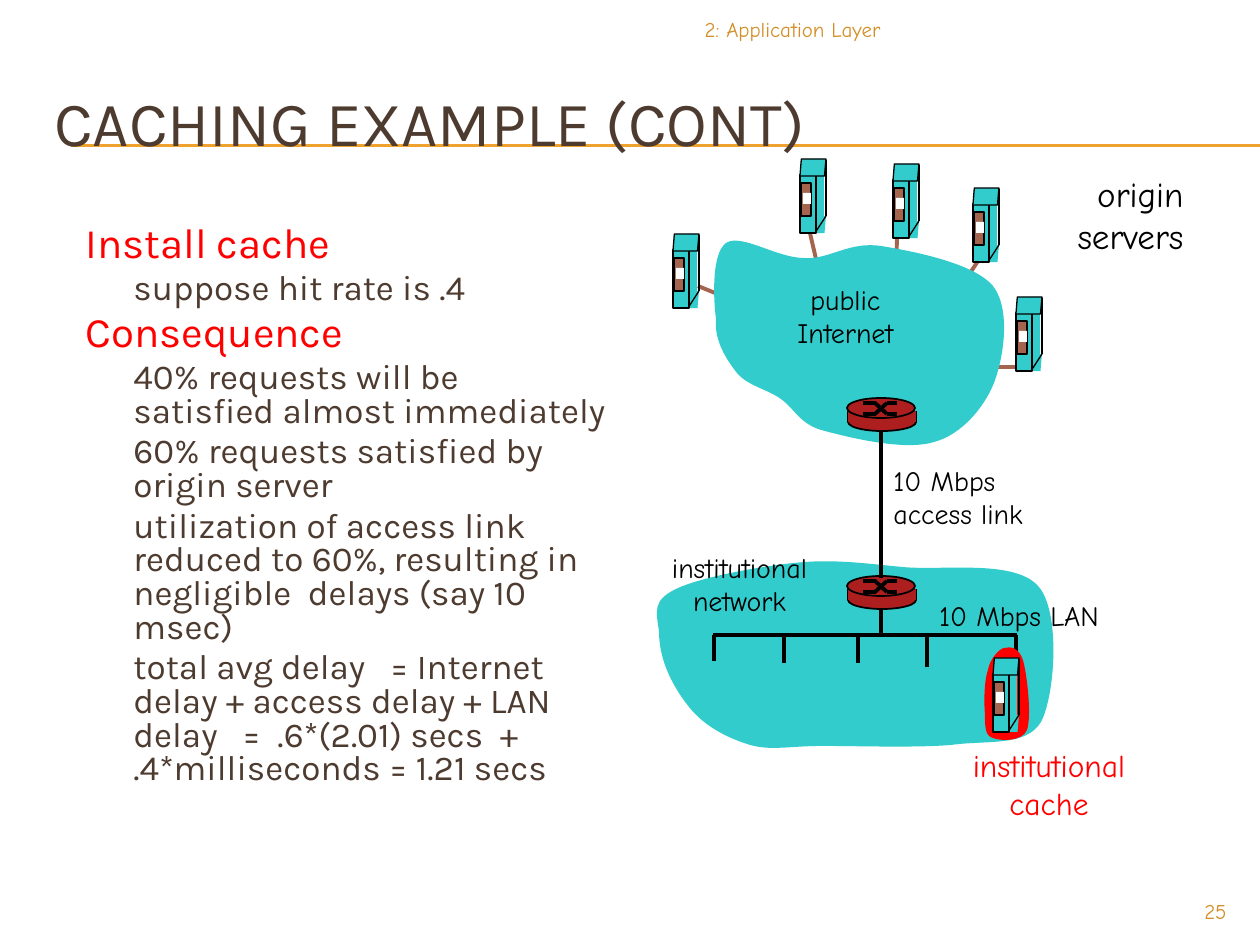
from dataclasses import dataclass
from typing import Any

from lxml.etree import SubElement
from pptx import Presentation
from pptx.dml.color import RGBColor
from pptx.enum.shapes import MSO_CONNECTOR, MSO_SHAPE
from pptx.enum.text import MSO_ANCHOR, PP_ALIGN
from pptx.oxml.ns import qn
from pptx.util import Emu, Pt

PX = 914400 / 126
TEAL, BROWN, RED, ROUTER_RED = "33CCCC", "A5644E", "FF0000", "AD1F1F"
BLACK, WHITE, INK, GOLD, AMBER = "000000", "FFFFFF", "4E3B30", "F0A22E", "D38E27"
HEAD_FONT, LABEL_FONT = "Karla", "Comic Neue"
LEFT, CENTER, RIGHT = PP_ALIGN.LEFT, PP_ALIGN.CENTER, PP_ALIGN.RIGHT

# Curve outlines: a start point, then three points for each Bezier segment
INTERNET_CLOUD = [
    (4, 86), (1, 63), (0, 20), (14, 10), (29, 0), (65, 25), (92, 25),
    (117, 27), (137, 8), (169, 13), (200, 18), (262, 30), (281, 53),
    (299, 76), (292, 124), (282, 150), (272, 175), (249, 202), (222, 209),
    (193, 218), (139, 205), (113, 198), (88, 192), (84, 177), (69, 166),
    (55, 156), (36, 153), (25, 140), (14, 126), (2, 107), (4, 86)]
CAMPUS_CLOUD = [
    (6, 72), (3, 52), (0, 42), (21, 31), (44, 19), (103, 8), (141, 4),
    (179, 0), (208, 4), (249, 8), (289, 12), (361, 0), (385, 27),
    (408, 52), (402, 137), (388, 163), (373, 188), (335, 181), (298, 186),
    (263, 189), (204, 187), (170, 187), (136, 187), (119, 192), (97, 186),
    (74, 179), (51, 167), (36, 148), (21, 129), (6, 103), (6, 72)]
CACHE_HALO = [
    (4, 24), (6, 13), (15, 3), (20, 2), (27, 0), (35, 2), (39, 14),
    (43, 28), (48, 70), (43, 84), (38, 96), (16, 95), (9, 92),
    (1, 90), (1, 80), (1, 68), (0, 57), (0, 36), (4, 24)]


def px(length):
    return Emu(round(length * PX))


def colour(value):
    return RGBColor.from_string(value)


@dataclass
class Region:
    """Places parts in px relative to its own left and top."""
    shapes: Any
    left: int
    top: int

    def inner(self, x, y):
        return Region(self.shapes, self.left + x, self.top + y)

    def group(self, x, y):
        group = self.shapes.add_group_shape()
        return Region(group.shapes, self.left + x, self.top + y)

    def block(self, kind, x, y, width, height, fill, outline=None):
        block = self.shapes.add_shape(
            kind, px(self.left + x), px(self.top + y), px(width), px(height))
        paint(block, fill, outline)
        return block

    def line(self, x1, y1, x2, y2, ink=BLACK, weight=2.25):
        line = self.shapes.add_connector(
            MSO_CONNECTOR.STRAIGHT, px(self.left + x1), px(self.top + y1),
            px(self.left + x2), px(self.top + y2))
        line.line.color.rgb = colour(ink)
        line.line.width = Pt(weight)
        SubElement(line.element.spPr, qn("a:effectLst"))

    def curve(self, points, fill):
        start, *rest = [(px(self.left + x), px(self.top + y)) for x, y in points]
        builder = self.shapes.build_freeform(*start, scale=1.0)
        builder.add_line_segments(rest, close=True)
        outline = builder.convert_to_shape()
        paint(outline, fill)
        # Merge each three straight segments into one Bezier segment
        steps = list(outline.element.iter(qn("a:lnTo")))
        for first in range(0, len(steps), 3):
            bezier = steps[first].makeelement(qn("a:cubicBezTo"))
            steps[first].addprevious(bezier)
            for step in steps[first:first + 3]:
                bezier.append(step[0])
                step.getparent().remove(step)

    def text(self, x, y, width, height, lines, size, ink=BLACK,
             font=LABEL_FONT, align=CENTER):
        frame = self.shapes.add_textbox(
            px(self.left + x), px(self.top + y), px(width), px(height)).text_frame
        frame.word_wrap = True
        for number, words in enumerate(lines):
            paragraph = frame.paragraphs[0] if number == 0 else frame.add_paragraph()
            paragraph.alignment = align
            add_run(paragraph, words, size, ink, font)
        return frame


def paint(shape, fill, outline=None):
    shape.shadow.inherit = False
    shape.fill.solid()
    shape.fill.fore_color.rgb = colour(fill)
    if outline:
        shape.line.color.rgb = colour(BLACK)
        shape.line.width = Pt(outline)
    else:
        shape.line.fill.background()


def add_run(paragraph, words, size, ink, font):
    run = paragraph.add_run()
    run.text = words
    run.font.size = Pt(size)
    run.font.name = font
    run.font.color.rgb = colour(ink)


def draw_server(server):
    for y, outline in ((57, None), (0, 0.75)):
        if outline:
            server.block(MSO_SHAPE.RECTANGLE, 13, 0, 11, 58, TEAL)
            server.block(MSO_SHAPE.RECTANGLE, 0, 16, 16, 58, TEAL, 0.75)
        face = server.block(MSO_SHAPE.PARALLELOGRAM, 0, y, 26, 17, TEAL, outline)
        face.adjustments[0] = 0.083
    server.line(26, 1, 26, 57, weight=0.75)
    server.line(26, 57, 15, 74, weight=0.75)
    server.block(MSO_SHAPE.RECTANGLE, 1, 24, 10, 33, BROWN, 0.75)
    server.block(MSO_SHAPE.RECTANGLE, 3, 34, 8, 11, WHITE)


def draw_router(router):
    router.block(MSO_SHAPE.OVAL, 1, 15, 68, 18, ROUTER_RED, 1)
    for side in (1, 69):
        router.line(side, 13, side, 24, weight=1)
    router.block(MSO_SHAPE.RECTANGLE, 1, 13, 68, 11, ROUTER_RED)
    router.block(MSO_SHAPE.OVAL, 0, 0, 68, 20, ROUTER_RED, 1)
    # Crossed switching paths
    for start, end in ((5, 16), (16, 5)):
        router.line(16, start, 29, start)
        router.line(28, start, 40, end)
        router.line(40, end, 50, end)


def draw_header(header):
    for y in (145, 146):
        header.line(71, y, 1260, y, GOLD, 0.75)
    title = header.text(42, 63, 1197, 116, ["CACHING EXAMPLE (CONT)"],
                        36, INK, HEAD_FONT, LEFT)
    title.vertical_anchor = MSO_ANCHOR.MIDDLE
    header.text(431, 10, 462, 40, ["2: Application Layer"], 12, AMBER, align=RIGHT)


def draw_body(body):
    topics = [
        ("Install cache", ["suppose hit rate is .4"]),
        ("Consequence", [
            "40% requests will be satisfied almost immediately",
            "60% requests satisfied by origin server",
            "utilization of access link reduced to 60%, resulting in "
            "negligible  delays (say 10 msec)",
            "total avg delay   = Internet delay + access delay + LAN delay   "
            "=  .6*(2.01) secs  + .4*milliseconds = 1.21 secs"])]
    frame = body.text(0, 0, 546, 640, [], 20)
    paragraph = frame.paragraphs[0]
    for number, (topic, points) in enumerate(topics):
        if number:
            paragraph = frame.add_paragraph()
            paragraph.space_before = Pt(4.8)
        paragraph.line_spacing = 0.8
        add_run(paragraph, topic, 24, RED, HEAD_FONT)
        for point in points:
            paragraph = frame.add_paragraph()
            paragraph.line_spacing = 0.8
            paragraph.space_before = Pt(4)
            paragraph._p.get_or_add_pPr().set("marL", str(px(48)))
            add_run(paragraph, point, 20, INK, HEAD_FONT)


def draw_internet(internet):
    for link in ((25, 127, 64, 143), (137, 74, 146, 113), (224, 80, 223, 113),
                 (305, 102, 286, 131), (343, 208, 309, 208)):
        internet.line(*link, BROWN)
    for place in ((0, 75), (127, 0), (220, 5), (300, 29), (343, 138)):
        draw_server(internet.group(*place))
    internet.inner(39, 74).curve(INTERNET_CLOUD, TEAL)
    draw_router(internet.group(174, 239))
    internet.text(98, 117, 149, 81, ["public", "Internet"], 16)
    internet.text(374, 7, 149, 97, ["origin", "servers"], 20, align=RIGHT)


def draw_institution(campus):
    campus.curve(CAMPUS_CLOUD, TEAL)
    # LAN bus and its drops
    campus.line(60, 76, 364, 76)
    for x, end in ((61, 102), (131, 104), (205, 104), (274, 108), (363, 106)):
        campus.line(x, 76, x, end)
    # Cache
    cache = campus.group(331, 87)
    cache.curve(CACHE_HALO, RED)
    draw_server(cache.inner(9, 12))
    # Router and labels
    draw_router(campus.group(194, 17))
    campus.line(228, 50, 228, 74)
    campus.text(-5, -15, 183, 81, ["institutional", "network"], 16)
    campus.text(266, 33, 200, 47, ["10 Mbps LAN"], 16)
    campus.text(295, 181, 202, 88, ["institutional", "cache"], 18, RED)


def draw_access_link(access):
    access.line(0, 0, 0, 146)
    access.text(0, 25, 168, 81, ["10 Mbps", "access link"], 16, align=LEFT)


def main():
    deck = Presentation()
    deck.slide_width, deck.slide_height = px(1260), px(945)
    shapes = deck.slides.add_slide(deck.slide_layouts[6]).shapes
    draw_header(Region(shapes, 0, 0))
    draw_body(Region(shapes, 73, 220))
    draw_internet(Region(shapes, 673, 159))
    draw_institution(Region(shapes, 653, 559))
    draw_access_link(Region(shapes, 881, 432))
    # Page number
    Region(shapes, 1134, 892).text(0, 0, 105, 34, ["25"], 12, AMBER, align=RIGHT)
    deck.save("out.pptx")


if __name__ == "__main__":
    main()
